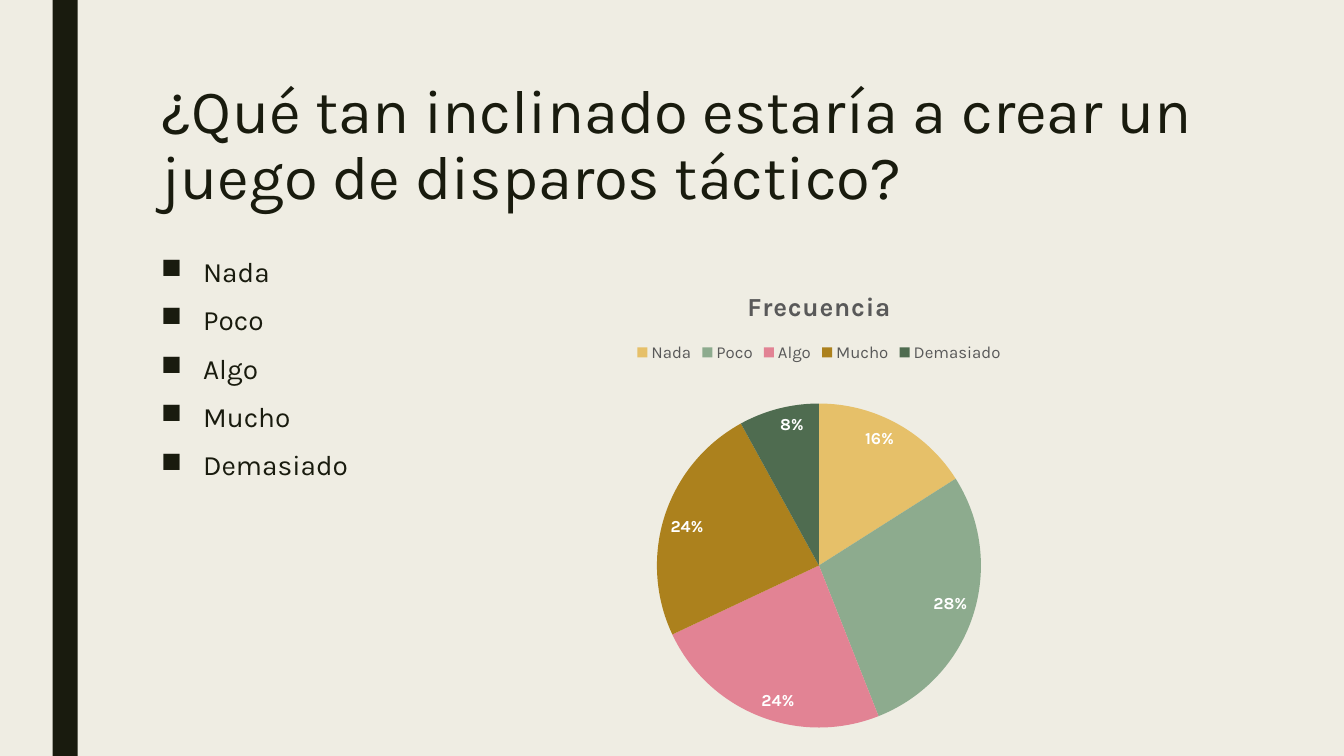
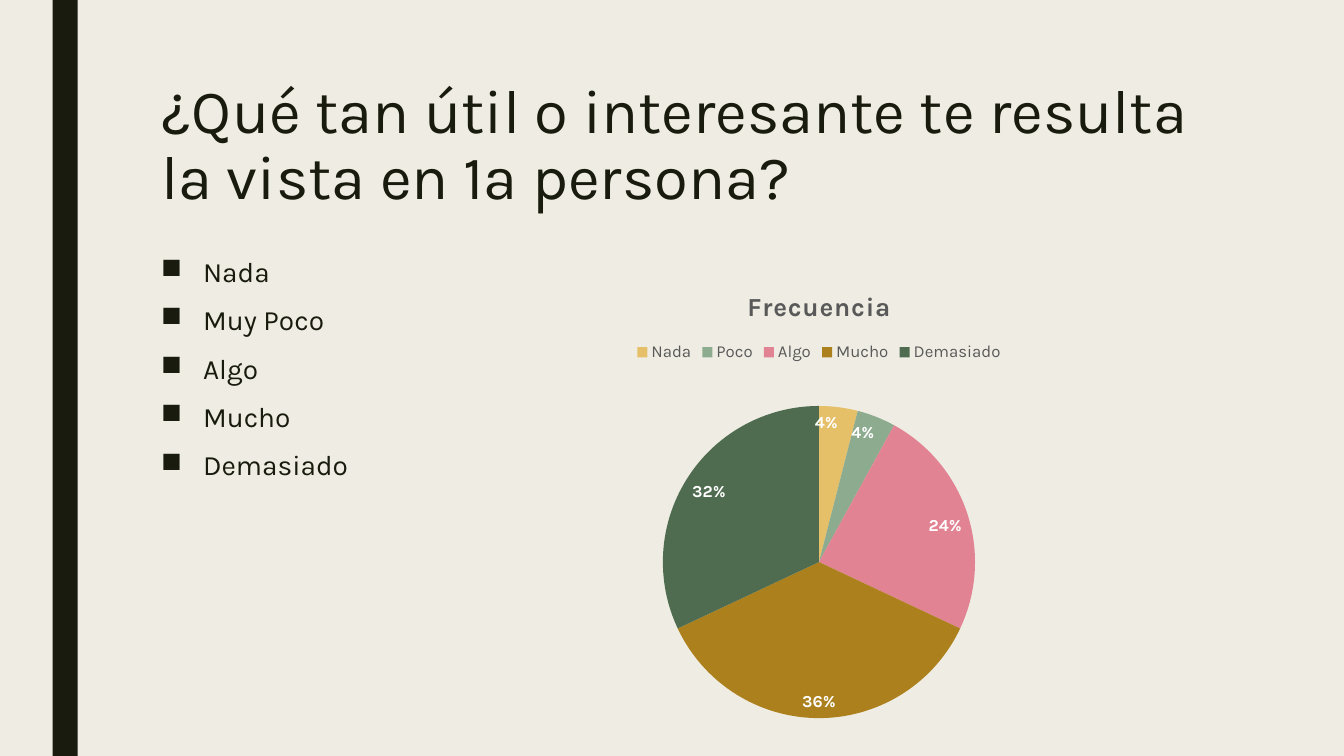
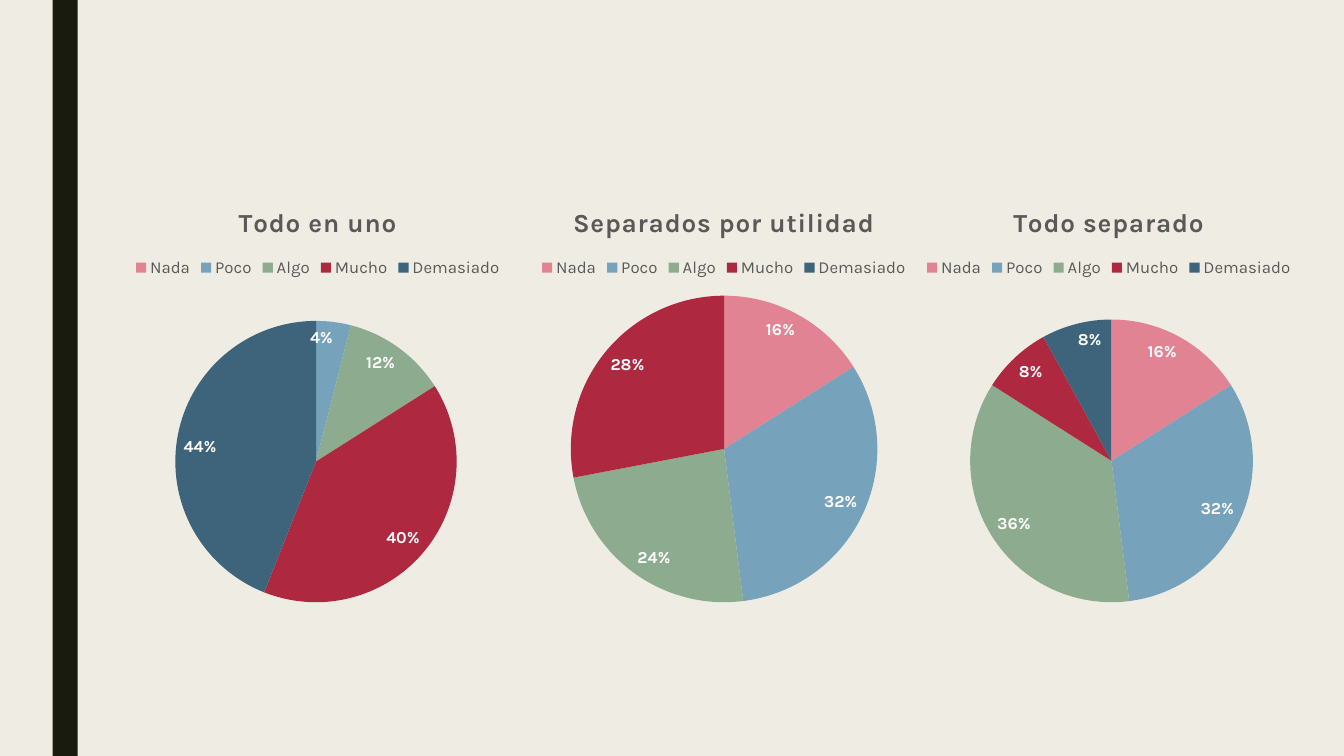
"""Build three survey slides with pie charts of answer frequencies."""
from dataclasses import dataclass

from lxml.etree import SubElement
from pptx import Presentation
from pptx.chart.chart import Chart
from pptx.chart.data import CategoryChartData
from pptx.dml.color import RGBColor
from pptx.enum.chart import XL_CHART_TYPE, XL_LABEL_POSITION, XL_LEGEND_POSITION
from pptx.enum.shapes import MSO_SHAPE
from pptx.enum.text import MSO_ANCHOR, MSO_AUTO_SIZE, PP_ALIGN
from pptx.oxml import parse_xml
from pptx.oxml.ns import nsdecls, qn
from pptx.presentation import Presentation as Deck
from pptx.slide import Slide
from pptx.text.text import Font, TextFrame
from pptx.util import Pt


@dataclass(frozen=True)
class Theme:
    """Colours and type sizes shared by the deck."""

    typeface: str = "Karla"
    background: str = "EFEDE3"
    ink: str = "191B0E"
    chart_ink: str = "595959"
    label_ink: str = "FFFFFF"
    title_size: float = 44
    body_size: float = 20
    chart_title_size: float = 18.6
    chart_size: float = 12
    warm: tuple[str, ...] = ("E6C069", "8DAB8E", "E28394", "AC811D", "4F6C50")
    cool: tuple[str, ...] = ("E28394", "77A2BB", "8DAB8E", "AE2940", "3D647A")


@dataclass(frozen=True)
class Area:
    """A rectangle in points."""

    left: float
    top: float
    width: float
    height: float

    def lengths(self) -> tuple[Pt, Pt, Pt, Pt]:
        """Return left, top, width and height as lengths."""
        return Pt(self.left), Pt(self.top), Pt(self.width), Pt(self.height)


@dataclass(frozen=True)
class Pie:
    """A pie chart, with the centre and diameter of its disc in points."""

    title: str
    values: tuple[int, ...]
    colors: tuple[str, ...]
    area: Area
    center: tuple[float, float]
    diameter: float


@dataclass(frozen=True)
class Question:
    """A question slide with its answers and their frequencies."""

    title: str
    answers: tuple[str, ...]
    pie: Pie


THEME = Theme()
PAGE = Area(0, 0, 960, 540)
BAND = Area(37.5, 0, 18, 540)
TITLE = Area(108, 54, 756, 117)
BODY = Area(108, 180, 756, 282)
CATEGORIES = ("Nada", "Poco", "Algo", "Mucho", "Demasiado")
PIE_WIDTH = 438

QUESTIONS = (
    Question(
        "¿Qué tan inclinado estaría a crear un juego de disparos táctico?",
        CATEGORIES,
        Pie("Frecuencia", (16, 28, 24, 24, 8), THEME.warm,
            Area(366, 193, PIE_WIDTH, 336), (585, 404), 231.5),
    ),
    Question(
        "¿Qué tan útil o interesante te resulta la vista en 1ª persona?",
        ("Nada", "Muy Poco", "Algo", "Mucho", "Demasiado"),
        Pie("Frecuencia", (4, 4, 24, 36, 32), THEME.warm,
            Area(366, 193, PIE_WIDTH, 330), (585, 401.5), 223),
    ),
)
COMPARISON = (
    Pie("Todo en uno", (0, 4, 12, 40, 44), THEME.cool,
        Area(8, 133, PIE_WIDTH, 307), (225.75, 329.75), 201),
    Pie("Separados por utilidad", (16, 32, 24, 28, 0), THEME.cool,
        Area(298, 133, PIE_WIDTH, 307), (517.25, 320.75), 219),
    Pie("Todo separado", (16, 32, 36, 8, 8), THEME.cool,
        Area(573, 133, PIE_WIDTH, 307), (794, 329.25), 202),
)


def style_font(font: Font, size: float, color: str, bold: bool = False) -> None:
    """Apply the deck typeface with a size and a colour."""
    font.name = THEME.typeface
    font.size = Pt(size)
    font.bold = bold
    font.color.rgb = RGBColor.from_string(color)


def prepare_frame(frame: TextFrame) -> None:
    """Wrap text from the top of its box, without resizing."""
    frame.word_wrap = True
    frame.auto_size = MSO_AUTO_SIZE.NONE
    frame.vertical_anchor = MSO_ANCHOR.TOP


def add_page(deck: Deck, layout_name: str) -> Slide:
    """Add a slide with the dark side band."""
    page = deck.slides.add_slide(deck.slide_layouts.get_by_name(layout_name))
    band = page.shapes.add_shape(MSO_SHAPE.RECTANGLE, *BAND.lengths())
    band.shadow.inherit = False
    band.fill.solid()
    band.fill.fore_color.rgb = RGBColor.from_string(THEME.ink)
    band.line.fill.background()
    return page


def set_title(page: Slide, text: str) -> None:
    """Place and format the title."""
    title = page.shapes.title
    title.left, title.top, title.width, title.height = TITLE.lengths()
    prepare_frame(title.text_frame)
    title.text_frame.text = text
    para = title.text_frame.paragraphs[0]
    para.alignment = PP_ALIGN.LEFT
    para.line_spacing = 0.89
    style_font(para.font, THEME.title_size, THEME.ink)


def add_answers(page: Slide, answers: tuple[str, ...]) -> None:
    """Add the square-bulleted list of answers."""
    frame = page.shapes.add_textbox(*BODY.lengths()).text_frame
    prepare_frame(frame)
    frame.text = "\n".join(answers)
    for para in frame.paragraphs:
        para.line_spacing = 0.94
        para.space_before = Pt(10)
        para.space_after = Pt(2)
        style_font(para.font, THEME.body_size, THEME.ink)
        properties = para._p.get_or_add_pPr()
        properties.set("marL", str(Pt(30)))
        properties.set("indent", str(-Pt(30)))
        bullet = parse_xml(f'<a:buChar {nsdecls("a")} char="■"/>')
        properties.find(qn("a:defRPr")).addprevious(bullet)


def place_disc(chart: Chart, pie: Pie) -> None:
    """Fix the disc of a pie inside its chart area."""
    area = pie.area
    radius = pie.diameter / 2
    plot_area = chart._chartSpace.chart.plotArea
    for old_layout in plot_area.findall(qn("c:layout")):
        plot_area.remove(old_layout)
    layout = parse_xml(f'<c:layout {nsdecls("c")}/>')
    plot_area.insert(0, layout)
    manual = SubElement(layout, qn("c:manualLayout"))
    settings = {
        "layoutTarget": "inner",
        "xMode": "edge",
        "yMode": "edge",
        "x": (pie.center[0] - radius - area.left) / area.width,
        "y": (pie.center[1] - radius - area.top) / area.height,
        "w": pie.diameter / area.width,
        "h": pie.diameter / area.height,
    }
    for name, value in settings.items():
        SubElement(manual, qn(f"c:{name}")).set("val", str(value))


def add_pie(page: Slide, pie: Pie) -> None:
    """Add a pie chart with its title, legend and percentages."""
    data = CategoryChartData()
    data.categories = CATEGORIES
    data.add_series(pie.title, pie.values)
    chart = page.shapes.add_chart(XL_CHART_TYPE.PIE, *pie.area.lengths(), data).chart
    style_font(chart.font, THEME.chart_size, THEME.chart_ink)

    chart.has_title = True
    chart.chart_title.text_frame.text = pie.title
    heading = chart.chart_title.text_frame.paragraphs[0]
    style_font(heading.font, THEME.chart_title_size, THEME.chart_ink, bold=True)
    heading._p.pPr.find(qn("a:defRPr")).set("spc", "50")

    chart.has_legend = True
    chart.legend.position = XL_LEGEND_POSITION.TOP
    chart.legend.include_in_layout = False
    style_font(chart.legend.font, THEME.chart_size, THEME.chart_ink)

    plot = chart.plots[0]
    plot.vary_by_categories = True
    for index, color in enumerate(pie.colors):
        fill = plot.series[0].points[index].format.fill
        fill.solid()
        fill.fore_color.rgb = RGBColor.from_string(color)

    plot.has_data_labels = True
    labels = plot.data_labels
    labels.show_value = False
    labels.show_percentage = True
    labels.number_format = "0%;;"
    labels.number_format_is_linked = False
    labels.position = XL_LABEL_POSITION.INSIDE_END
    style_font(labels.font, THEME.chart_size, THEME.label_ink, bold=True)
    place_disc(chart, pie)


def build() -> None:
    """Build and save the deck."""
    deck = Presentation()
    deck.slide_width, deck.slide_height = Pt(PAGE.width), Pt(PAGE.height)
    backdrop = deck.slide_master.background.fill
    backdrop.solid()
    backdrop.fore_color.rgb = RGBColor.from_string(THEME.background)

    for question in QUESTIONS:
        page = add_page(deck, "Title Only")
        set_title(page, question.title)
        add_answers(page, question.answers)
        add_pie(page, question.pie)

    page = add_page(deck, "Blank")
    for pie in COMPARISON:
        add_pie(page, pie)
    deck.save("out.pptx")


build()
